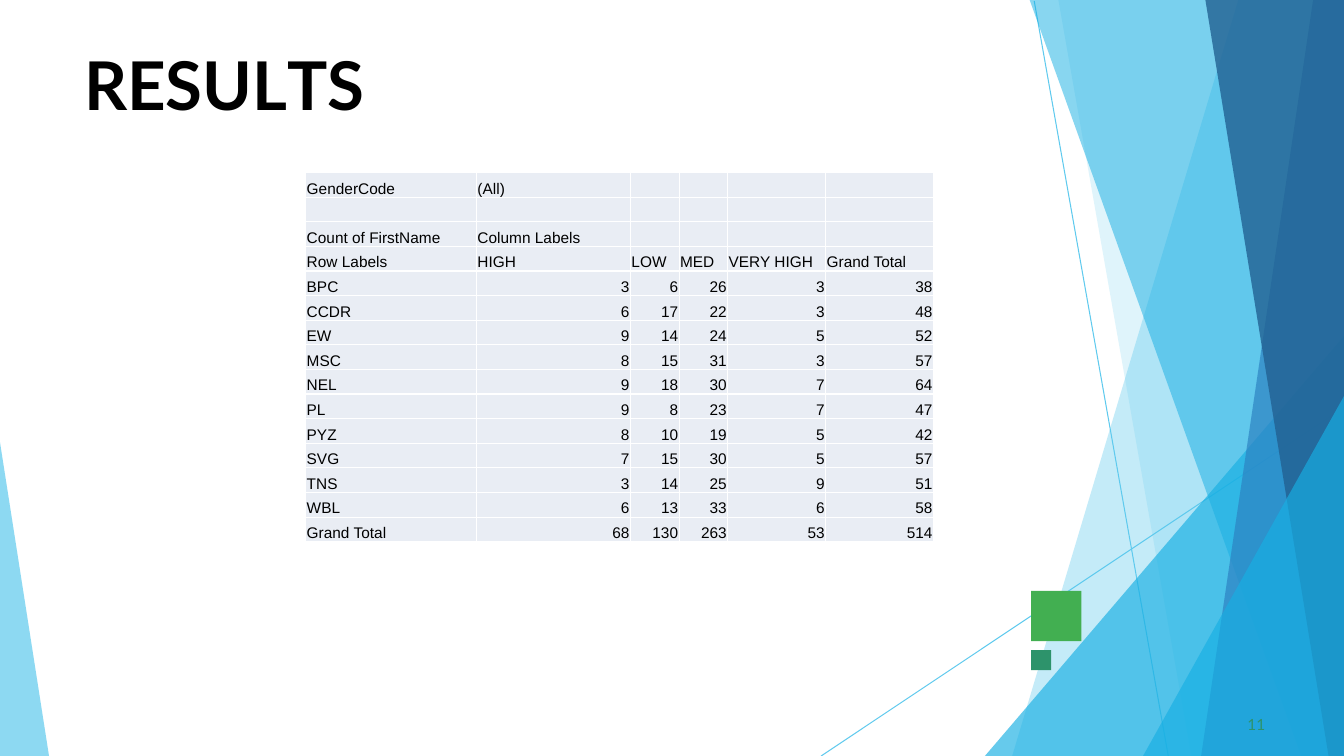
from lxml import etree
from pptx import Presentation, util as u
from pptx.dml.color import RGBColor
from pptx.enum import shapes, text
from pptx.oxml.ns import qn

SKY = RGBColor(0x5F, 0xCA, 0xEE)
CYAN = RGBColor(0x17, 0xAF, 0xE3)
BLUE = RGBColor(0x2D, 0x83, 0xC3)
NAVY = RGBColor(0x22, 0x61, 0x92)
GREEN = RGBColor(0x42, 0xAF, 0x51)
TEAL = RGBColor(0x2D, 0x93, 0x6B)
CELL = RGBColor(0xE9, 0xED, 0xF4)
WHITE = RGBColor(0xFF, 0xFF, 0xFF)
BLACK = RGBColor(0, 0, 0)

# Content: title letters with their tracking in points, page number, table rows
TITLE = [("R", 0), ("E", -0.4), ("S", 0.1), ("U", -0.3), ("L", -4.1), ("TS", 0)]
PAGE_NUMBER = "11"
ROWS = [
    ("GenderCode", "(All)"),
    (),
    ("Count of FirstName", "Column Labels"),
    ("Row Labels", "HIGH", "LOW", "MED", "VERY HIGH", "Grand Total"),
    ("BPC", 3, 6, 26, 3, 38),
    ("CCDR", 6, 17, 22, 3, 48),
    ("EW", 9, 14, 24, 5, 52),
    ("MSC", 8, 15, 31, 3, 57),
    ("NEL", 9, 18, 30, 7, 64),
    ("PL", 9, 8, 23, 7, 47),
    ("PYZ", 8, 10, 19, 5, 42),
    ("SVG", 7, 15, 30, 5, 57),
    ("TNS", 3, 14, 25, 9, 51),
    ("WBL", 6, 13, 33, 6, 58),
    ("Grand Total", 68, 130, 263, 53, 514),
]
COLUMN_WIDTHS = [122, 110, 34.75, 34.75, 70, 77]
ROW_HEIGHT = 17.6

# Decoration, in points on a 960 x 540 slide
WIDTH, HEIGHT = 960, 540
LINES = [(738.75, 0.75, 834.5, HEIGHT), (WIDTH, 291, 586.5, HEIGHT)]
# Panels on the right edge: top points, bottom-left x, colour, opacity in %
PANELS = [
    ([(WIDTH, 0), (884.5, 0)], 723, SKY, 37),
    ([(WIDTH, 0), (756, 0)], 851, SKY, 20),
    ([(WIDTH, 240)], 703.5, CYAN, 66),
    ([(WIDTH, 0), (735.5, 0)], 929.5, CYAN, 51),
    ([(WIDTH, 0), (938, 0)], 858, BLUE, 71),
    ([(WIDTH, 0), (861, 0)], 949, NAVY, 80),
    ([(WIDTH, 283)], 816.5, CYAN, 66),
]
LEFT_WEDGE = [(0, 316), (0, HEIGHT), (35, HEIGHT)]
SQUARES = [(736.5, 422, 36, GREEN), (736.5, 464.4, 14.4, TEAL)]


def set_all(target, values):
    for name, value in values.items():
        setattr(target, name, value)


def place(shape, left, top, width, height):
    set_all(shape, {"left": u.Pt(left), "top": u.Pt(top),
                    "width": u.Pt(width), "height": u.Pt(height)})


def paint(shape, colour):
    shape.shadow.inherit = False
    shape.fill.solid()
    shape.fill.fore_color.rgb = colour
    shape.line.fill.background()


def add_polygon(page, points, colour, opacity):
    start, *rest = [(u.Pt(x), u.Pt(y)) for x, y in points]
    builder = page.shapes.build_freeform(*start, scale=1.0)
    builder.add_line_segments(rest, close=True)
    shape = builder.convert_to_shape()
    paint(shape, colour)
    tint = shape.element.spPr.find(".//" + qn("a:srgbClr"))
    etree.SubElement(tint, qn("a:alpha"), val=str(opacity * 1000))


def add_span(para, words, size, font, colour, bold=False, tracking=0):
    span = para.add_run()
    span.text = words
    set_all(span.font, {"size": u.Pt(size), "name": font, "bold": bold})
    span.font.color.rgb = colour
    if tracking:
        span.font._element.set("spc", str(round(tracking * 100)))


def prepare_frame(frame, before):
    set_all(frame, {"margin_left": 0, "margin_top": u.Pt(1), "margin_right": 0,
                    "margin_bottom": 0, "word_wrap": True,
                    "auto_size": text.MSO_AUTO_SIZE.NONE,
                    "vertical_anchor": text.MSO_ANCHOR.TOP})
    para = frame.paragraphs[0]
    set_all(para, {"alignment": text.PP_ALIGN.LEFT, "space_before": u.Pt(before)})
    return para


def add_borders(cell):
    properties = cell._tc.get_or_add_tcPr()
    for place_at, side in enumerate(("lnL", "lnR", "lnT", "lnB")):
        border = etree.Element(qn("a:" + side), w=str(u.Pt(1)))
        fill = etree.SubElement(border, qn("a:solidFill"))
        etree.SubElement(fill, qn("a:srgbClr"), val=str(WHITE))
        properties.insert(place_at, border)


def fill_cell(cell, value):
    set_all(cell, {"margin_left": u.Pt(0.7), "margin_top": u.Pt(0.7),
                   "margin_right": u.Pt(0.7), "margin_bottom": 0,
                   "vertical_anchor": text.MSO_ANCHOR.BOTTOM})
    cell.fill.solid()
    cell.fill.fore_color.rgb = CELL
    add_borders(cell)
    para = cell.text_frame.paragraphs[0]
    if value is None:
        etree.SubElement(para._p, qn("a:endParaRPr"), sz="1100")
        return
    if isinstance(value, int):
        para.alignment = text.PP_ALIGN.RIGHT
    add_span(para, str(value), 11, "Arial", BLACK)


def main():
    deck = Presentation()
    set_all(deck, {"slide_width": u.Pt(WIDTH), "slide_height": u.Pt(HEIGHT)})
    page = deck.slides.add_slide(deck.slide_layouts[5])

    # Background lines and translucent panels
    for ends in LINES:
        line = page.shapes.add_connector(shapes.MSO_CONNECTOR.STRAIGHT,
                                         *[u.Pt(end) for end in ends])
        line.line.color.rgb = SKY
        line.line.width = u.Pt(0.75)
        etree.SubElement(line.element.spPr, qn("a:effectLst"))
    for top, bottom_left, colour, opacity in PANELS:
        outline = top + [(bottom_left, HEIGHT), (WIDTH, HEIGHT)]
        add_polygon(page, outline, colour, opacity)
    add_polygon(page, LEFT_WEDGE, SKY, 71)

    # Green squares
    for left, top, side, colour in SQUARES:
        square = page.shapes.add_shape(shapes.MSO_SHAPE.RECTANGLE, 0, 0, 0, 0)
        place(square, left, top, side, side)
        paint(square, colour)

    # Title
    title = page.shapes.title
    place(title, 60, 30.25, 224, 58)
    para = prepare_frame(title.text_frame, 1.1)
    for letters, tracking in TITLE:
        add_span(para, letters, 48, "Lato", BLACK, True, tracking)

    # Page number
    box = page.shapes.add_textbox(0, 0, 0, 0)
    place(box, 888, 509.75, 18, 14)
    para = prepare_frame(box.text_frame, 0.6)
    box.text_frame.margin_left = u.Pt(3)
    add_span(para, PAGE_NUMBER, 11, "Lato", TEAL, tracking=0.1)

    # Table of results
    frame = page.shapes.add_table(
        len(ROWS), len(COLUMN_WIDTHS), u.Pt(218.4), u.Pt(123.3),
        u.Pt(sum(COLUMN_WIDTHS)), u.Pt(ROW_HEIGHT * len(ROWS)))
    table = frame.table
    set_all(table, {"first_row": False, "horz_banding": False})
    for column, width in zip(table.columns, COLUMN_WIDTHS):
        column.width = u.Pt(width)
    for row, values in zip(table.rows, ROWS):
        row.height = u.Pt(ROW_HEIGHT)
        for index, cell in enumerate(row.cells):
            fill_cell(cell, values[index] if index < len(values) else None)

    deck.save("out.pptx")


if __name__ == "__main__":
    main()
